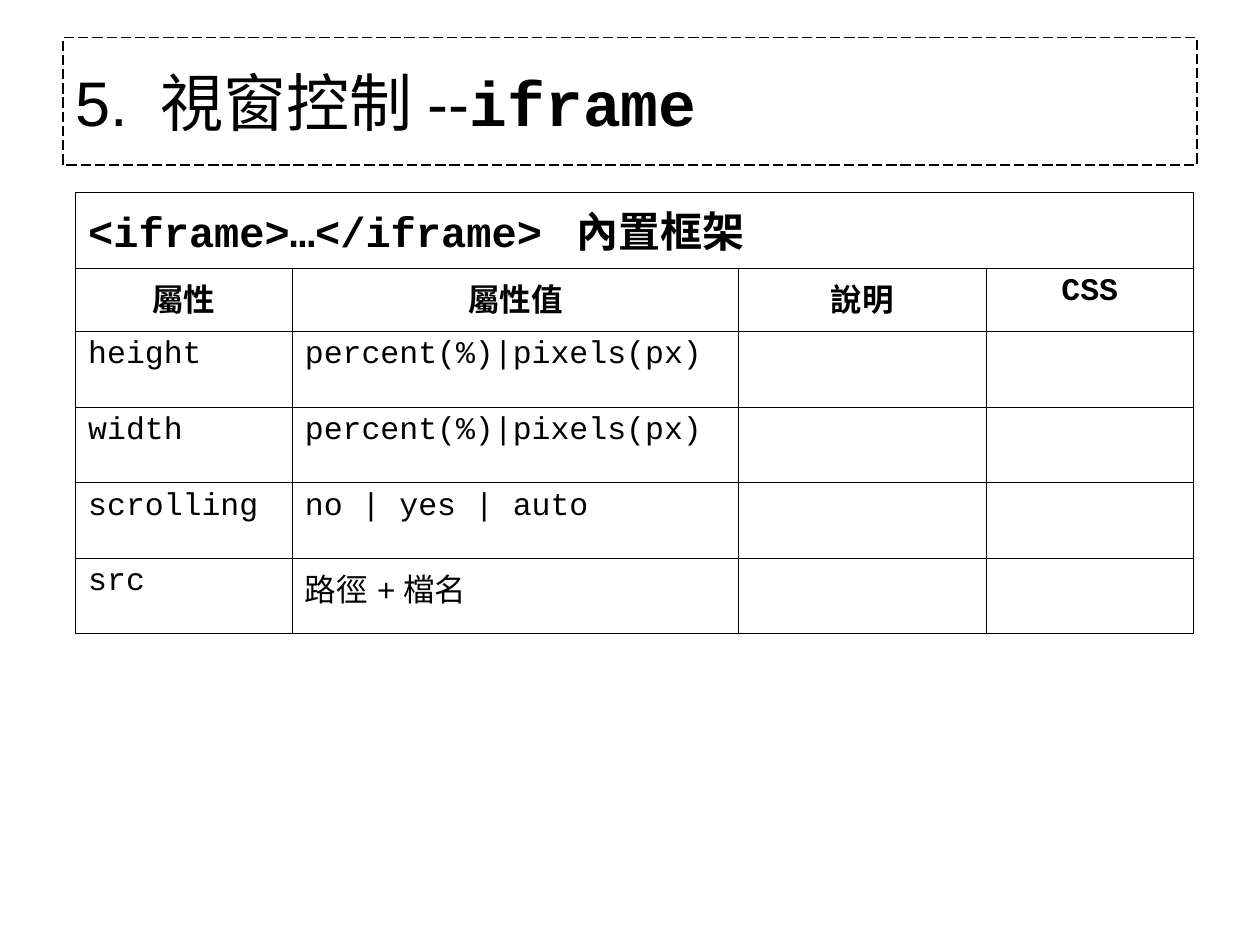
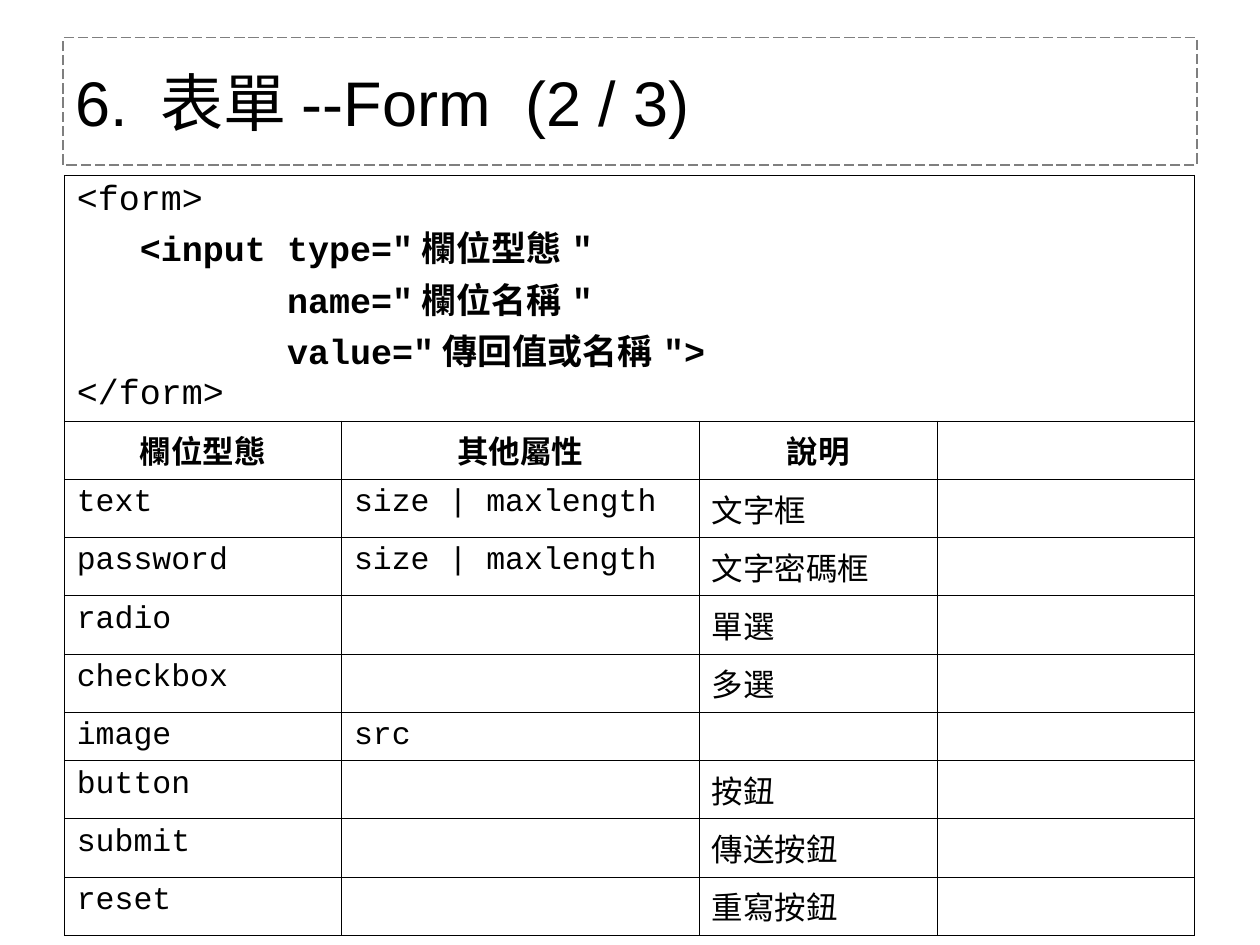
from lxml.etree import SubElement
from pptx import Presentation
from pptx.dml.color import RGBColor
from pptx.enum.dml import MSO_LINE_DASH_STYLE as Dash
from pptx.enum.text import MSO_ANCHOR as Anchor, MSO_AUTO_SIZE as AutoSize, PP_ALIGN as Align
from pptx.oxml import parse_xml
from pptx.oxml.ns import nsdecls, qn
from pptx.util import Inches, Pt

BLACK = RGBColor(0x00, 0x00, 0x00)
GREY = RGBColor(0x7F, 0x7F, 0x7F)
SANS, MONO = "Arial", "Courier New"
TITLE_ONLY = 5
BORDER_WIDTH = Pt(0.45)

IFRAME_ROWS = [
    ["屬性", "屬性值", "說明", "CSS"],
    ["height", "percent(%)|pixels(px)", "", ""],
    ["width", "percent(%)|pixels(px)", "", ""],
    ["scrolling", "no | yes | auto", "", ""],
    ["src", "路徑+檔名", "", ""],
]

# Each syntax line is paired with its bold flag
IFRAME_SYNTAX = [("<iframe>…</iframe> 內置框架", True)]
FORM_SYNTAX = [
    ("<form>", False),
    ('   <input type="欄位型態"', True),
    ('          name="欄位名稱"', True),
    ('          value="傳回值或名稱">', True),
    ("</form>", False),
]

FORM_ROWS = [
    ["欄位型態", "其他屬性", "說明", ""],
    ["text", "size | maxlength", "文字框", ""],
    ["password", "size | maxlength", "文字密碼框", ""],
    ["radio", "", "單選", ""],
    ["checkbox", "", "多選", ""],
    ["image", "src", "", ""],
    ["button", "", "按鈕", ""],
    ["submit", "", "傳送按鈕", ""],
    ["reset", "", "重寫按鈕", ""],
]


def style_font(font, size, name=MONO, bold=False):
    font.size = Pt(size)
    font.name = name
    font.bold = bold
    font.color.rgb = BLACK


def add_titled_slide(deck, heading, frame_color, code=""):
    """Add a slide with a dashed title frame; code is a bold monospace ending."""
    slide = deck.slides.add_slide(deck.slide_layouts[TITLE_ONLY])
    title = slide.shapes.title
    title.left, title.top = Inches(0.5), Inches(0.3)
    title.width, title.height = Inches(9), Inches(1.01)
    title.line.color.rgb = frame_color
    title.line.width = Pt(0.75)
    title.line.dash_style = Dash.LONG_DASH

    frame = title.text_frame
    frame.auto_size = AutoSize.NONE
    frame.vertical_anchor = Anchor.MIDDLE
    paragraph = frame.paragraphs[0]
    paragraph.alignment = Align.LEFT
    style_font(paragraph.font, 36, SANS)
    paragraph.add_run().text = heading
    if code:
        ending = paragraph.add_run()
        ending.text = code
        ending.font.name = MONO
        ending.font.bold = True
    return slide


def outline_cell(cell):
    """Clear the fill and draw thin borders on all four sides."""
    cell.fill.background()
    properties = cell._tc.get_or_add_tcPr()
    for position, side in enumerate(("lnL", "lnR", "lnT", "lnB")):
        border = parse_xml(f'<a:{side} {nsdecls("a")} w="{BORDER_WIDTH}"/>')
        fill = SubElement(border, qn("a:solidFill"))
        SubElement(fill, qn("a:srgbClr")).set("val", str(BLACK))
        properties.insert(position, border)


def fill_cell(cell, lines, size, alignment=Align.LEFT):
    frame = cell.text_frame
    for index, (text, bold) in enumerate(lines):
        paragraph = frame.add_paragraph() if index else frame.paragraphs[0]
        paragraph.alignment = alignment
        style_font(paragraph.font, size, bold=bold)
        if text:
            paragraph.add_run().text = text


def add_attribute_table(slide, left, top, widths, heights, syntax, syntax_size, rows):
    """Add a table with a full-width syntax row, a header row and attribute rows."""
    table = slide.shapes.add_table(
        len(heights), len(widths), Inches(left), Inches(top),
        Inches(sum(widths)), Inches(sum(heights))).table
    table.first_row = table.horz_banding = False
    for column, width in zip(table.columns, widths):
        column.width = Inches(width)
    for row, height in zip(table.rows, heights):
        row.height = Inches(height)
    for cell in table.iter_cells():
        outline_cell(cell)

    # Syntax across all columns
    table.cell(0, 0).merge(table.cell(0, len(widths) - 1))
    fill_cell(table.cell(0, 0), syntax, syntax_size)

    # Header and attributes
    for row_index, texts in enumerate(rows, start=1):
        is_header = row_index == 1
        for column_index, text in enumerate(texts):
            fill_cell(table.cell(row_index, column_index), [(text, is_header)], 18,
                      Align.CENTER if is_header else Align.LEFT)


def main():
    deck = Presentation()
    deck.slide_width, deck.slide_height = Inches(10), Inches(7.5)

    # Inline frame attributes
    iframe_slide = add_titled_slide(deck, "5. 視窗控制--", BLACK, code="iframe")
    add_attribute_table(
        iframe_slide, 0.6, 1.53, [1.72, 3.54, 1.97, 1.64],
        [0.6, 0.5] + [0.6] * 4, IFRAME_SYNTAX, 24, IFRAME_ROWS)

    # Form field types
    form_slide = add_titled_slide(deck, "6. 表單--Form  (2 / 3)", GREY)
    add_attribute_table(
        form_slide, 0.51, 1.39, [2.2, 2.84, 1.89, 2.04],
        [1.94] + [0.46] * 5 + [0.38] + [0.46] * 3, FORM_SYNTAX, 20, FORM_ROWS)

    deck.save("out.pptx")


if __name__ == "__main__":
    main()
